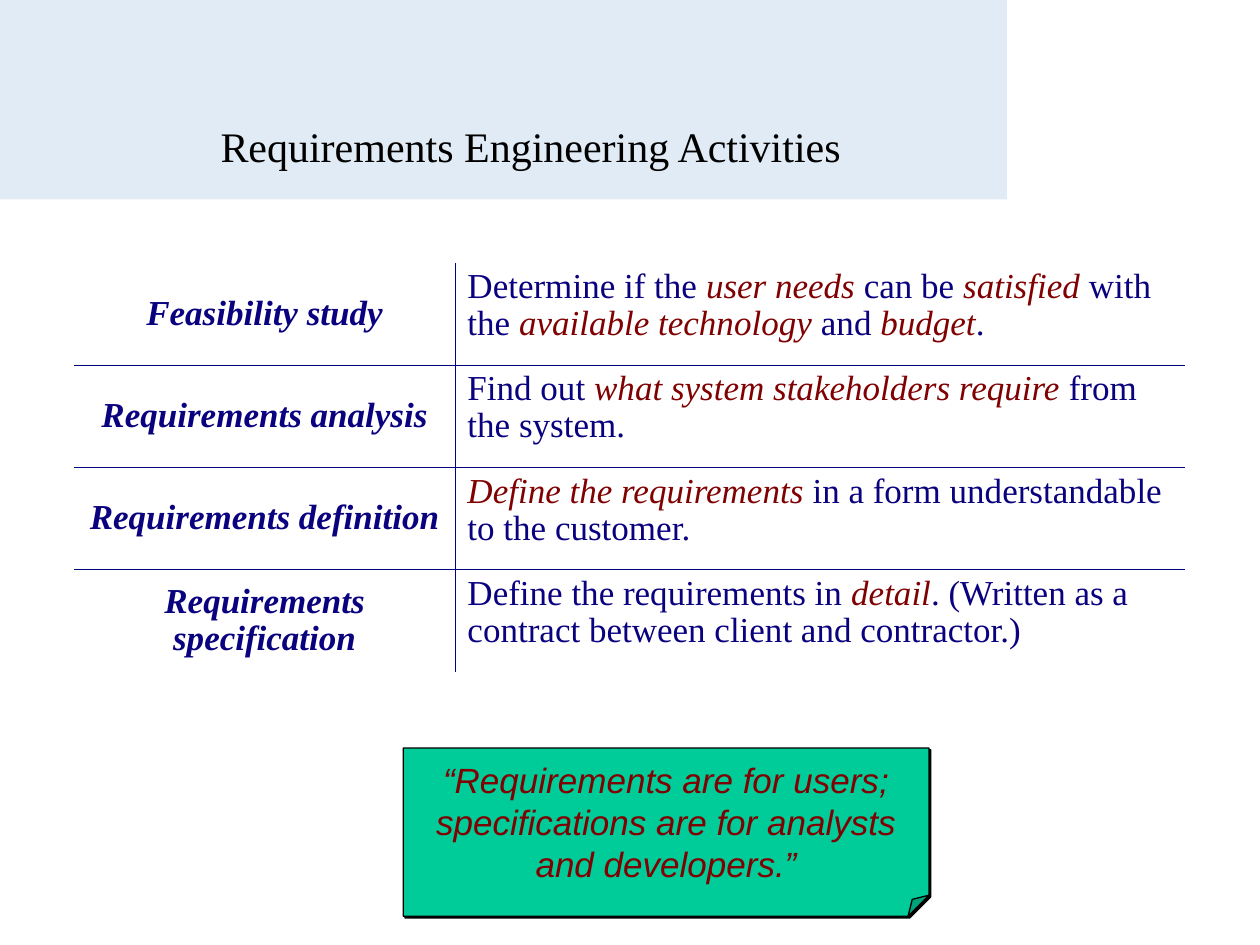
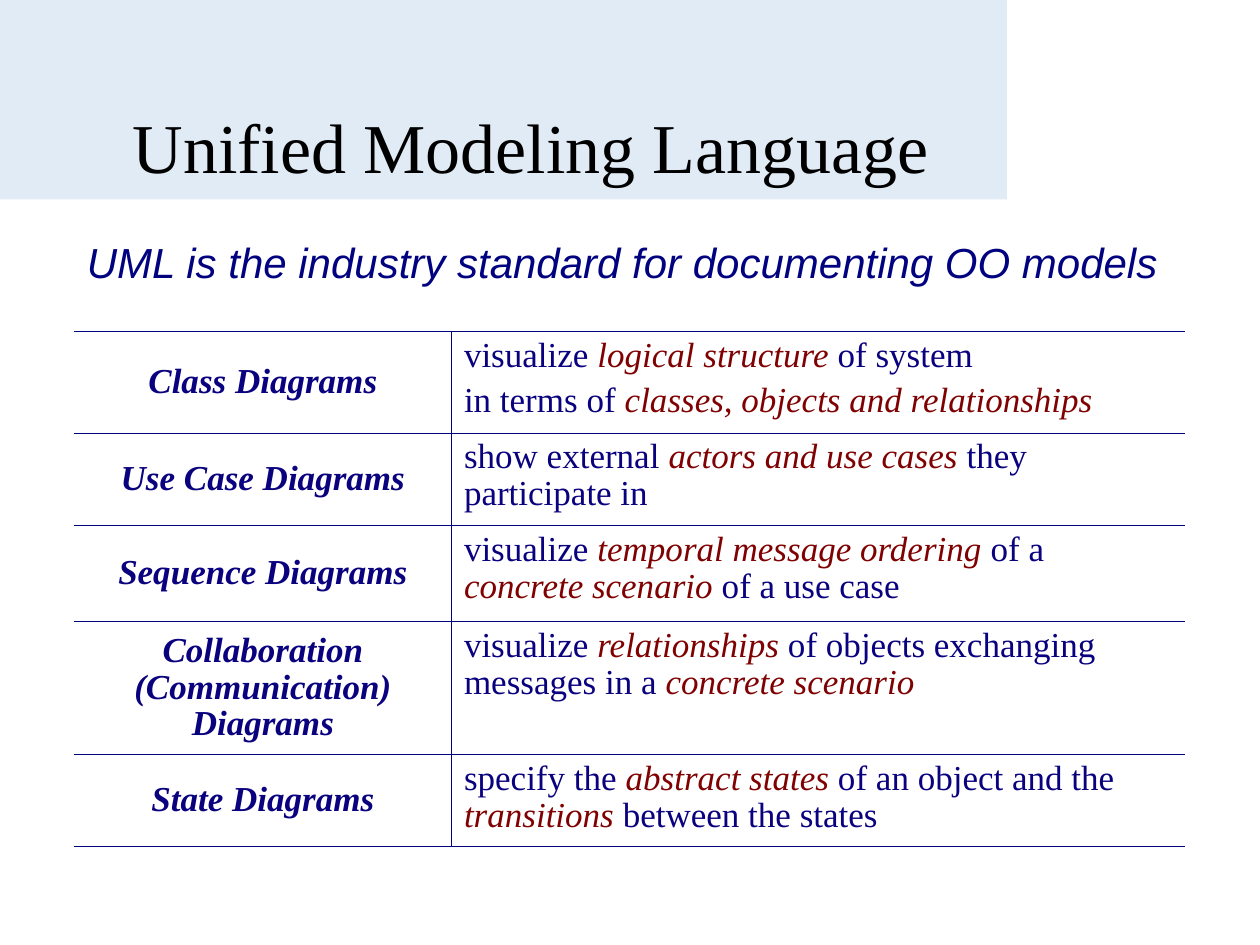
import pptx
import pptx.util
import pptx.dml.color
import pptx.enum.shapes
import pptx.enum.text
import pptx.oxml
import pptx.oxml.ns

Cm, Pt = pptx.util.Cm, pptx.util.Pt
RGBColor = pptx.dml.color.RGBColor
MSO_SHAPE = pptx.enum.shapes.MSO_SHAPE
ANCHOR = pptx.enum.text.MSO_ANCHOR
ALIGN = pptx.enum.text.PP_ALIGN
AUTO_SIZE = pptx.enum.text.MSO_AUTO_SIZE
NS = pptx.oxml.ns.nsdecls("a")

# Shared look
PALE_BLUE = RGBColor(0xE1, 0xEB, 0xF5)
BLACK = RGBColor(0, 0, 0)
INK = RGBColor(0x0A, 0x01, 0x7F)
NAVY = RGBColor(0x00, 0x02, 0x7F)
DARK_RED = RGBColor(0x7F, 0x01, 0x01)
GREEN = RGBColor(0x00, 0xCC, 0x99)
SERIF, SANS = "Times New Roman", "Arial"
LEFT = 1.5
RULE_WIDTH = Pt(0.45)

ACTIVITIES = [
    ("Feasibility study",
     "Determine if the *user needs* can be *satisfied* with the "
     "*available technology* and *budget*."),
    ("Requirements analysis",
     "Find out *what system stakeholders require* from the system."),
    ("Requirements definition",
     "*Define the requirements* in a form understandable to the customer."),
    ("Requirements specification",
     "Define the requirements in *detail*. (Written as a contract between "
     "client and contractor.)"),
]
DIAGRAMS = [
    ("Class Diagrams",
     "visualize *logical structure* of system\n"
     "in terms of *classes, objects and relationships*"),
    ("Use Case Diagrams",
     "show external *actors and use cases* they participate in"),
    ("Sequence Diagrams",
     "visualize *temporal message ordering* of a *concrete scenario* of a use case"),
    ("Collaboration (Communication) Diagrams",
     "visualize *relationships* of objects exchanging messages in a *concrete scenario*"),
    ("State Diagrams",
     "specify the *abstract states* of an object and the *transitions* "
     "between the states"),
]


def write(tf, text, size=20, font=SERIF, color=INK, bold=False, italic=False,
          align=ALIGN.LEFT, spacing=None, before=0):
    """Fill a text frame; *starred* words become dark red italics."""
    for i, line in enumerate(text.split("\n")):
        p = tf.paragraphs[0] if i == 0 else tf.add_paragraph()
        p.alignment = align
        p.line_spacing = spacing
        p.space_before = Pt(before if i else 0)
        for j, part in enumerate(line.split("*")):
            if not part:
                continue
            starred = j % 2 == 1
            r = p.add_run()
            r.text = part
            r.font.name, r.font.size = font, Pt(size)
            r.font.bold, r.font.italic = bold, italic or starred
            r.font.color.rgb = DARK_RED if starred else color


def add_band(prs, layout):
    """Put the header band behind everything on the layout."""
    s = prs.slides[0]
    band = s.shapes.add_shape(MSO_SHAPE.RECTANGLE, 0, 0, Cm(20.3), Cm(4.02))
    band.shadow.inherit = False
    band.fill.solid()
    band.fill.fore_color.rgb = PALE_BLUE
    band.line.fill.background()
    layout.shapes._spTree.insert(2, band._element)


def add_title(s, text, size):
    sp = s.shapes.title
    sp.left, sp.top, sp.width, sp.height = Cm(LEFT), Cm(1.8), Cm(18.4), Cm(2.26)
    tf = sp.text_frame
    tf.auto_size = AUTO_SIZE.NONE
    tf.vertical_anchor = ANCHOR.MIDDLE
    write(tf, text, size=size, color=BLACK, align=ALIGN.CENTER)


def set_borders(cell, sides):
    """Rule the given sides (of L, R, T, B) and clear the others."""
    tc_pr = cell._tc.get_or_add_tcPr()
    for side in "LRTB":
        fill = (f'<a:solidFill><a:srgbClr val="{NAVY}"/></a:solidFill>'
                if side in sides else "<a:noFill/>")
        tc_pr.append(pptx.oxml.parse_xml(
            f'<a:ln{side} {NS} w="{RULE_WIDTH}">{fill}</a:ln{side}>'))


def add_term_table(s, top, col_widths, row_heights, rows, framed):
    """Terms on the left, explanations on the right, ruled between."""
    tbl = s.shapes.add_table(len(rows), 2, Cm(LEFT), Cm(top),
                             Cm(sum(col_widths)), Cm(sum(row_heights))).table
    tbl.first_row = tbl.horz_banding = False
    for col, width in zip(tbl.columns, col_widths):
        col.width = Cm(width)
    for i, (row, height) in enumerate(zip(rows, row_heights)):
        tbl.rows[i].height = Cm(height)
        sides = ("T" if framed or i > 0 else "") + (
            "B" if framed or i < len(rows) - 1 else "")
        term, meaning = tbl.cell(i, 0), tbl.cell(i, 1)
        term.vertical_anchor = ANCHOR.MIDDLE
        write(term.text_frame, row[0], bold=True, italic=True,
              align=ALIGN.CENTER, spacing=0.95)
        write(meaning.text_frame, row[1], spacing=0.95, before=5)
        for cell, inner in ((term, "R"), (meaning, "L")):
            set_borders(cell, sides + inner)
            cell.fill.background()


def add_note(s, left, top, width, height, text):
    """Folded note with a hard shadow."""
    sp = s.shapes.add_shape(MSO_SHAPE.FOLDED_CORNER, Cm(left), Cm(top),
                            Cm(width), Cm(height))
    sp_pr = sp._element.spPr
    # Size of the folded corner
    sp_pr.find(pptx.oxml.ns.qn("a:prstGeom")).get_or_add_avLst().append(
        pptx.oxml.parse_xml(f'<a:gd {NS} name="adj" fmla="val 12500"/>'))
    sp.fill.solid()
    sp.fill.fore_color.rgb = GREEN
    sp.line.color.rgb = BLACK
    sp.line.width = Pt(0.75)
    sp_pr.append(pptx.oxml.parse_xml(
        f'<a:effectLst {NS}><a:outerShdw dist="{Pt(1.4)}" dir="2700000" algn="ctr">'
        f'<a:srgbClr val="{BLACK}"/></a:outerShdw></a:effectLst>'))
    tf = sp.text_frame
    tf.word_wrap = True
    tf.vertical_anchor = ANCHOR.MIDDLE
    write(tf, text, font=SANS, color=DARK_RED, italic=True, align=ALIGN.CENTER)


def add_lead(s, left, top, width, height, text):
    """Single line of text above the table."""
    sp = s.shapes.add_textbox(Cm(left), Cm(top), Cm(width), Cm(height))
    tf = sp.text_frame
    tf.word_wrap = False
    tf.auto_size = AUTO_SIZE.SHAPE_TO_FIT_TEXT
    write(tf, text, size=24, font=SANS, color=NAVY, italic=True)


def main():
    prs = pptx.Presentation()
    prs.slide_width, prs.slide_height = Cm(25.4), Cm(19.05)
    layout = prs.slide_layouts[5]

    # Requirements engineering activities
    s = prs.slides.add_slide(layout)
    add_band(prs, layout)
    add_title(s, "Requirements Engineering Activities", 24)
    add_term_table(s, 5.3, [7.67, 14.71], [2.06] * len(ACTIVITIES),
                   ACTIVITIES, framed=False)
    add_note(s, 8.13, 15.08, 10.6, 3.39,
             "“Requirements are for users; specifications are for analysts "
             "and developers.”")

    # Unified Modeling Language
    s = prs.slides.add_slide(layout)
    add_title(s, "Unified Modeling Language", 40)
    add_term_table(s, 6.68, [7.6, 14.78], [2.05, 1.87, 1.93, 2.68, 1.86],
                   DIAGRAMS, framed=True)
    add_lead(s, LEFT, 4.65, 22.1, 1.28,
             "UML is the industry standard for documenting OO models")

    prs.save("out.pptx")


if __name__ == "__main__":
    main()
